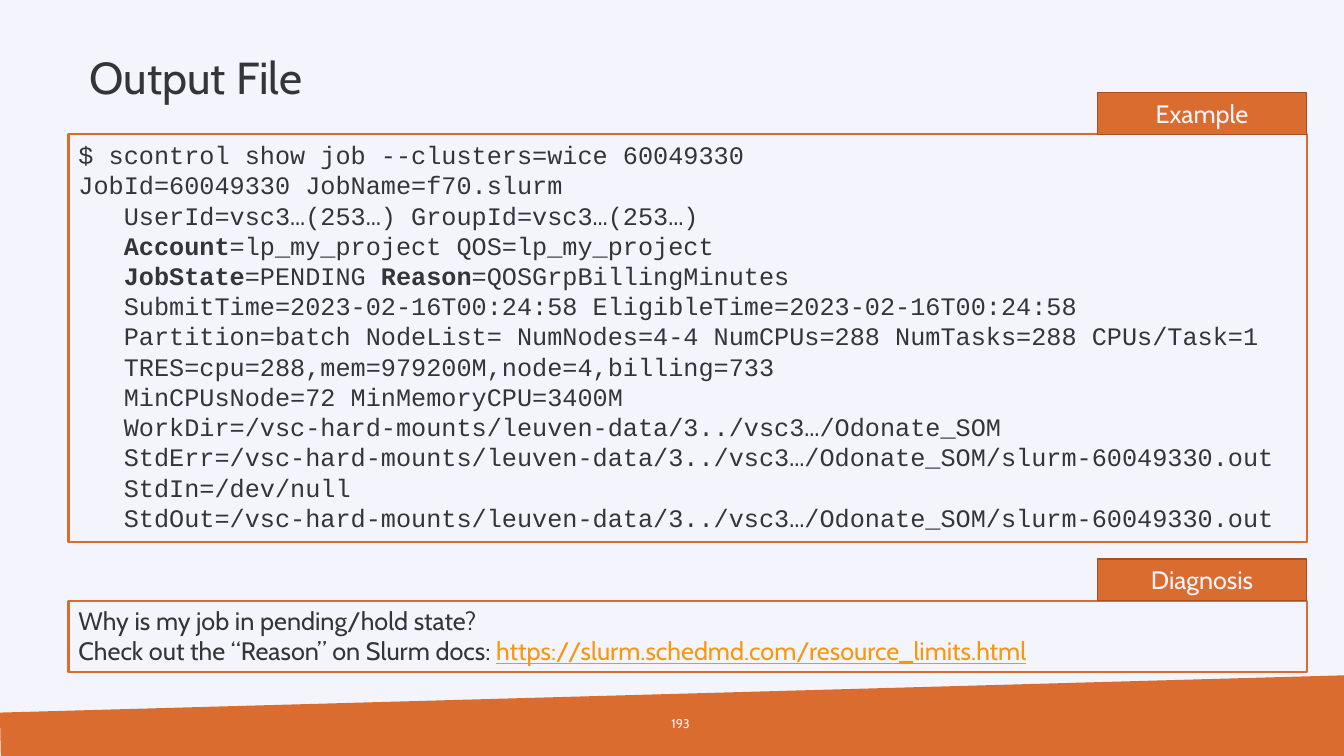
from pptx import Presentation
from pptx.dml.color import RGBColor
from pptx.enum.shapes import MSO_SHAPE
from pptx.enum.text import MSO_ANCHOR, MSO_AUTO_SIZE, PP_ALIGN
from pptx.util import Inches, Pt

COLORS = {
    "paper": "F4F5FC",
    "ink": "333639",
    "orange": "DB6C30",
    "rust": "A25024",
    "link": "F8960D",
}
COLUMNS, ROWS = 160, 90
PANEL_LEFT, PANEL_WIDTH = 8.16, 147.4
TAB_WIDTH, TAB_HEIGHT = 24.92, 4.96

JOB_REPORT = [
    ["$ scontrol show job --clusters=wice 60049330"],
    ["JobId=60049330 JobName=f70.slurm"],
    ["   UserId=vsc3…(253…) GroupId=vsc3…(253…)"],
    ["   ", ("Account", {"bold": True}), "=lp_my_project QOS=lp_my_project"],
    ["   ", ("JobState", {"bold": True}), "=PENDING ",
     ("Reason", {"bold": True}), "=QOSGrpBillingMinutes"],
    ["   SubmitTime=2023-02-16T00:24:58 EligibleTime=2023-02-16T00:24:58"],
    ["   Partition=batch NodeList= NumNodes=4-4 NumCPUs=288 NumTasks=288 CPUs/Task=1"],
    ["   TRES=cpu=288,mem=979200M,node=4,billing=733"],
    ["   MinCPUsNode=72 MinMemoryCPU=3400M"],
    ["   WorkDir=/vsc-hard-mounts/leuven-data/3../vsc3…/Odonate_SOM"],
    ["   StdErr=/vsc-hard-mounts/leuven-data/3../vsc3…/Odonate_SOM/slurm-60049330.out"],
    ["   StdIn=/dev/null"],
    ["   StdOut=/vsc-hard-mounts/leuven-data/3../vsc3…/Odonate_SOM/slurm-60049330.out"],
]
ADVICE = [
    ["Why is my job in pending/hold state?"],
    ["Check out the “Reason” on Slurm docs: ",
     ("https://slurm.schedmd.com/resource_limits.html",
      {"color": "link", "underline": True})],
]


def color_of(name):
    return RGBColor.from_string(COLORS[name])


def add_span(para, text, font="Cabin", size=18, color="ink", bold=False, underline=False):
    span = para.add_run()
    span.text = text
    span.font.name = font
    span.font.size = Pt(size)
    span.font.color.rgb = color_of(color)
    span.font.bold = bold
    span.font.underline = underline


class SlideBuilder:
    """Draws styled elements on a page divided into columns and rows."""

    def __init__(self, deck):
        self.deck = deck
        self.page = deck.slides.add_slide(deck.slide_layouts[6])
        self.page.background.fill.solid()
        self.page.background.fill.fore_color.rgb = color_of("paper")

    def across(self, columns):
        return round(self.deck.slide_width * columns / COLUMNS)

    def down(self, rows):
        return round(self.deck.slide_height * rows / ROWS)

    def frame(self, left, top, width, height):
        return self.across(left), self.down(top), self.across(width), self.down(height)

    def fill_text(self, box, lines, anchor=MSO_ANCHOR.TOP, align=PP_ALIGN.LEFT,
                  spacing=1.0, **style):
        body = box.text_frame
        body.word_wrap = True
        body.vertical_anchor = anchor
        for index, line in enumerate(lines):
            para = body.add_paragraph() if index else body.paragraphs[0]
            para.alignment = align
            para.line_spacing = spacing
            for piece in line:
                text, changes = (piece, {}) if isinstance(piece, str) else piece
                add_span(para, text, **{**style, **changes})

    def label(self, text, left, top, width, height, **style):
        box = self.page.shapes.add_textbox(*self.frame(left, top, width, height))
        self.fill_text(box, [[text]], anchor=MSO_ANCHOR.MIDDLE, **style)

    def rectangle(self, left, top, width, height, line, weight, fill=None):
        box = self.page.shapes.add_shape(
            MSO_SHAPE.RECTANGLE, *self.frame(left, top, width, height))
        box.shadow.inherit = False
        box.line.color.rgb = color_of(line)
        box.line.width = Pt(weight)
        if fill:
            box.fill.solid()
            box.fill.fore_color.rgb = color_of(fill)
        else:
            box.fill.background()
        return box

    def panel(self, heading, lines, top, height, **style):
        box = self.rectangle(PANEL_LEFT, top, PANEL_WIDTH, height, "orange", 1.5)
        self.fill_text(box, lines, **style)
        box.text_frame.auto_size = MSO_AUTO_SIZE.SHAPE_TO_FIT_TEXT
        tab = self.rectangle(PANEL_LEFT + PANEL_WIDTH - TAB_WIDTH, top - TAB_HEIGHT,
                             TAB_WIDTH, TAB_HEIGHT, "rust", 1, fill="orange")
        self.fill_text(tab, [[heading]], anchor=MSO_ANCHOR.MIDDLE,
                       align=PP_ALIGN.CENTER, color="paper")

    def footer_band(self, left_top, right_top):
        corners = [(COLUMNS, right_top), (COLUMNS, ROWS), (0.1, ROWS)]
        outline = self.page.shapes.build_freeform(0, self.down(left_top))
        outline.add_line_segments([(self.across(x), self.down(y)) for x, y in corners])
        band = outline.convert_to_shape()
        band.shadow.inherit = False
        band.fill.solid()
        band.fill.fore_color.rgb = color_of("orange")
        band.line.fill.background()


def main():
    deck = Presentation()
    deck.slide_width, deck.slide_height = Inches(13.33), Inches(7.5)
    builder = SlideBuilder(deck)
    builder.footer_band(84.84, 80.4)
    builder.label("193", 76.7, 83.76, 6.6, 4.8, size=9, color="paper",
                  align=PP_ALIGN.RIGHT)
    builder.panel("Example", JOB_REPORT, 16, 48.48, font="Courier New")
    builder.panel("Diagnosis", ADVICE, 71.5, 8.5)
    builder.label("Output File", 9.5, 4.3, 145.8, 10.44, size=32, spacing=0.9)
    deck.save("out.pptx")


if __name__ == "__main__":
    main()
